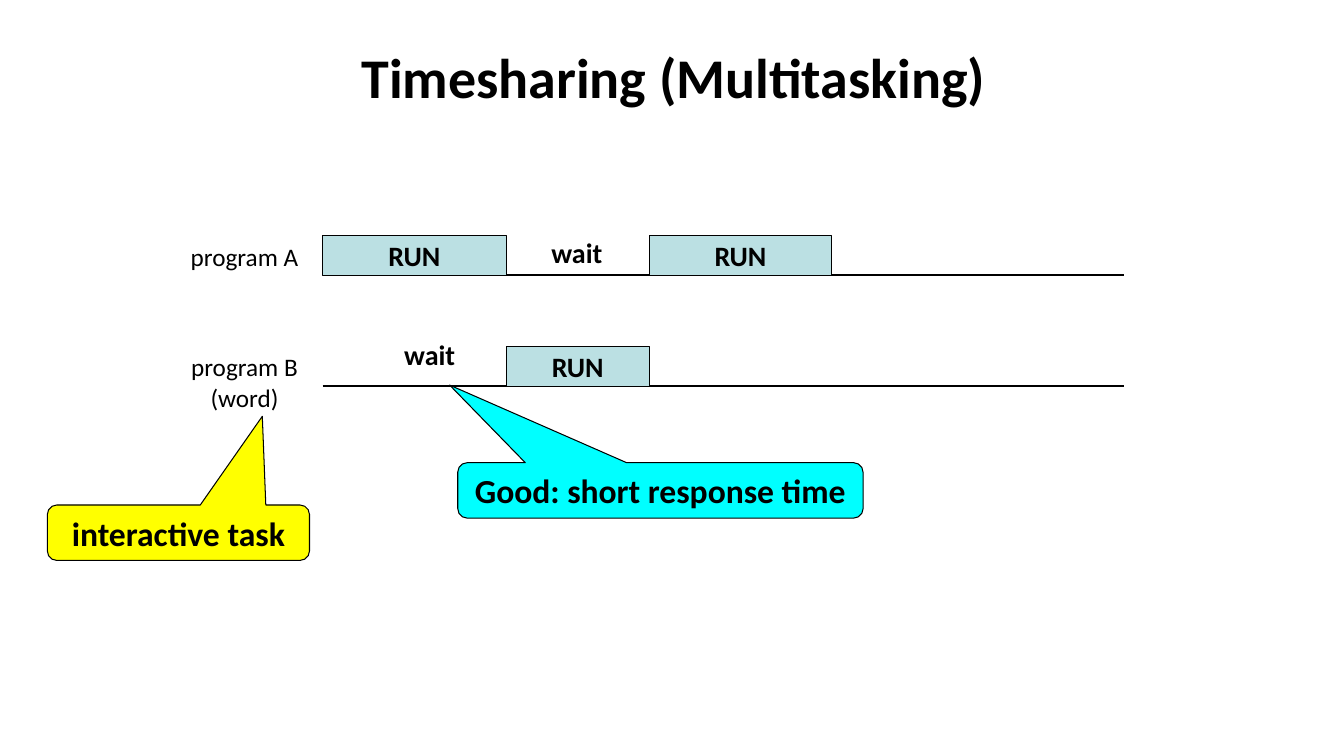
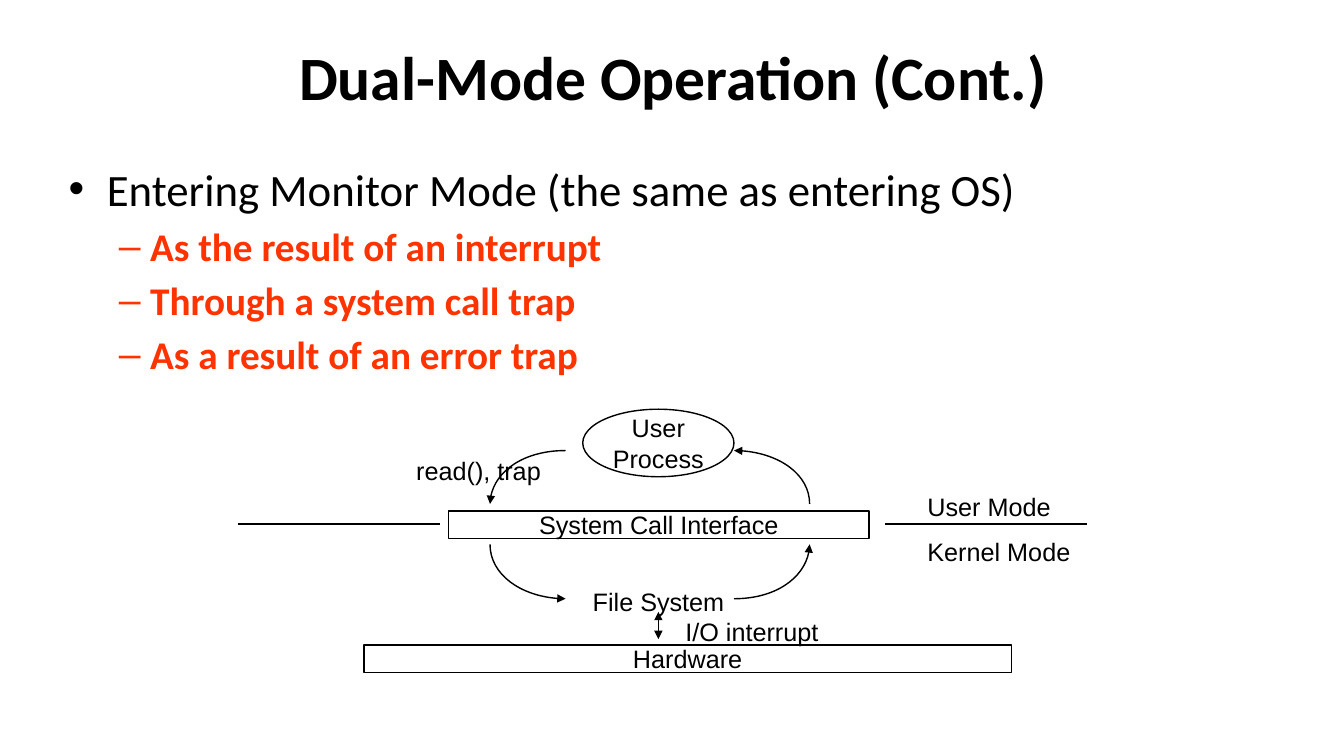
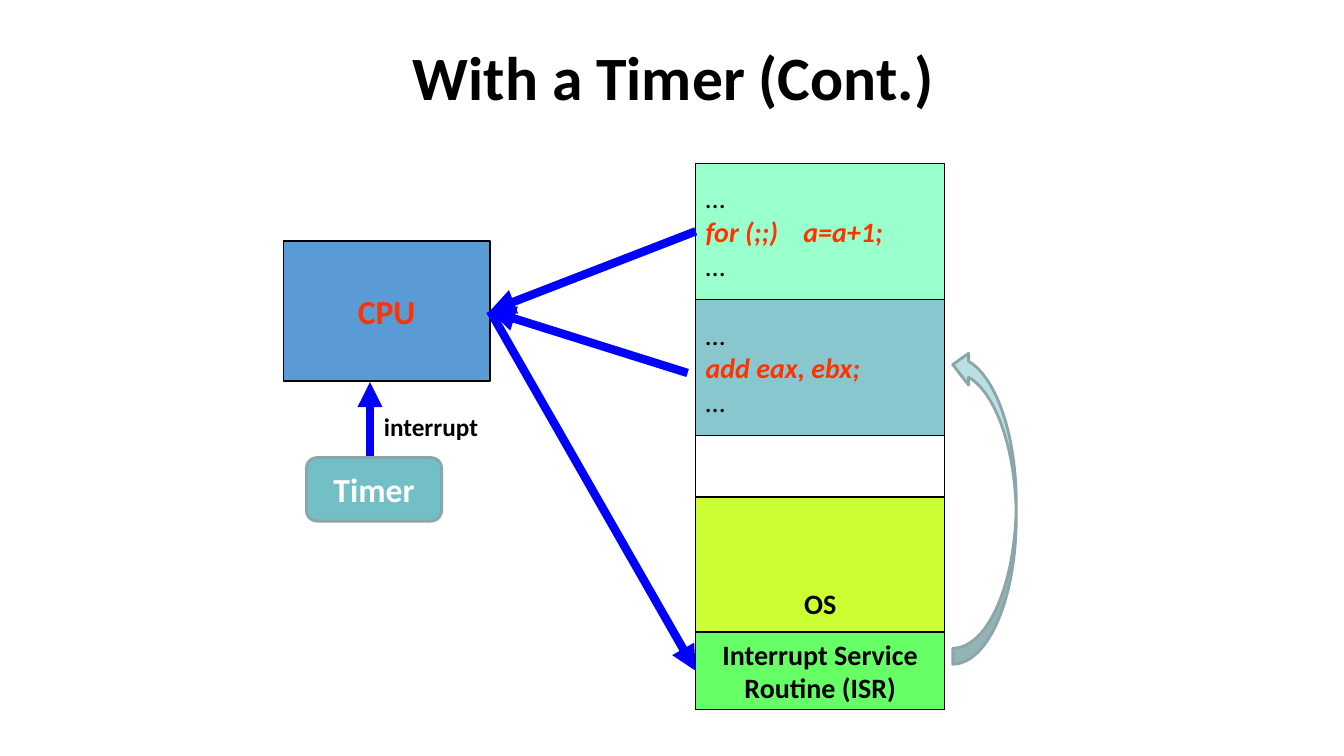
import lxml.etree
import pptx
import pptx.dml.color
import pptx.enum.shapes
import pptx.enum.text
import pptx.oxml.ns
import pptx.util

Inches = pptx.util.Inches
Pt = pptx.util.Pt
qn = pptx.oxml.ns.qn
Preset = pptx.enum.shapes.MSO_SHAPE
Align = pptx.enum.text.PP_ALIGN
Anchor = pptx.enum.text.MSO_ANCHOR
AutoSize = pptx.enum.text.MSO_AUTO_SIZE
rgb = pptx.dml.color.RGBColor.from_string


def style(size, color="000000", name="Calibri", bold=False, italic=False):
    return {"size": Pt(size), "color": rgb(color), "name": name,
            "bold": bold, "italic": italic}


class Theme:
    BLACK = "000000"
    RED = "FF3300"
    BLUE = "0000FF"
    YELLOW = "FFFF00"
    CYAN = "00FFFF"
    PALE_TEAL = "BBE0E3"
    TEAL = "72BFC5"
    TEAL_EDGE = "8AA6A8"
    CPU = "5B9BD5"
    FIRST_PROGRAM = "99FFCC"
    SECOND_PROGRAM = "8AC6CD"
    OS = "CCFF33"
    ISR = "66FF66"

    TITLE = style(44, bold=True)
    SMALL_TITLE = style(40, bold=True)
    BULLET = style(32)
    SUB_BULLET = style(28, RED, bold=True)
    CALLOUT = style(24, bold=True)
    CPU_TEXT = style(24, RED, bold=True)
    TIMER_TEXT = style(24, "FFFFFF", bold=True)
    STRONG = style(20, bold=True)
    PLAIN = style(20)
    CODE = style(20, RED, bold=True, italic=True)
    LABEL = style(18)
    STRONG_LABEL = style(18, bold=True)
    DIAGRAM = style(18, name="Arial")


def set_format(font, values):
    for key, value in values.items():
        if key == "color":
            font.color.rgb = value
        else:
            setattr(font, key, value)


def write(frame, lines, align=Align.CENTER, **frame_format):
    """Fill a text frame with (text, style) lines, one paragraph each."""
    for key, value in frame_format.items():
        setattr(frame, key, value)
    for index, (text, values) in enumerate(lines):
        paragraph = frame.paragraphs[0] if index == 0 else frame.add_paragraph()
        paragraph.alignment = align
        run = paragraph.add_run()
        run.text = text
        set_format(run.font, values)


def styled(values, *texts):
    return [(text, values) for text in texts]


def place(part, left, top, width, height):
    for key, value in zip(("left", "top", "width", "height"),
                          (left, top, width, height)):
        setattr(part, key, Inches(value))


def add_slide(deck, title, values=Theme.TITLE, layout=5):
    slide = deck.slides.add_slide(deck.slide_layouts[layout])
    place(slide.shapes.title, 0.68, 0.13, 12, 1.25)
    write(slide.shapes.title.text_frame, styled(values, title),
          vertical_anchor=Anchor.MIDDLE, auto_size=AutoSize.NONE)
    return slide


def add_label(slide, left, top, width, lines, align=Align.LEFT):
    label = slide.shapes.add_textbox(
        Inches(left), Inches(top), Inches(width),
        Inches(0.1 + 0.3 * len(lines)))
    write(label.text_frame, lines, align, word_wrap=False,
          auto_size=AutoSize.SHAPE_TO_FIT_TEXT)


def set_line(part, color, width, head=False, tail=False):
    part.line.color.rgb = rgb(color)
    part.line.width = Pt(width)
    outline = part.element.spPr.find(qn("a:ln"))
    for tag, wanted in (("a:headEnd", head), ("a:tailEnd", tail)):
        if wanted:
            lxml.etree.SubElement(outline, qn(tag), type="triangle")


def add_block(slide, box, fill=None, lines=(), preset=Preset.RECTANGLE,
              align=Align.CENTER, edge=Theme.BLACK, edge_width=1, wrap=True,
              adjust=()):
    block = slide.shapes.add_shape(preset, *map(Inches, box))
    block.shadow.inherit = False
    if fill:
        block.fill.solid()
        block.fill.fore_color.rgb = rgb(fill)
    else:
        block.fill.background()
    set_line(block, edge, edge_width)
    for index, value in enumerate(adjust):
        block.adjustments[index] = value
    write(block.text_frame, lines, align, word_wrap=wrap,
          vertical_anchor=Anchor.MIDDLE)
    return block


def add_line(slide, start, end, color=Theme.BLACK, width=1, **arrowheads):
    line = slide.shapes.add_connector(
        pptx.enum.shapes.MSO_CONNECTOR.STRAIGHT,
        *map(Inches, (*start, *end)))
    set_line(line, color, width, **arrowheads)
    lxml.etree.SubElement(line.element.spPr, qn("a:effectLst"))
    return line


def add_quarter_arc(slide, start, end, **arrowheads):
    """Curve that leaves start horizontally and reaches end vertically."""
    bend = 0.55
    (x0, y0), (x1, y1) = start, end
    points = [(x0 + bend * (x1 - x0), y0), (x1, y1 - bend * (y1 - y0)), end]
    builder = slide.shapes.build_freeform(Inches(x0), Inches(y0))
    builder.add_line_segments([tuple(map(Inches, point)) for point in points],
                              close=False)
    arc = builder.convert_to_shape()
    arc.shadow.inherit = False
    arc.fill.background()
    set_line(arc, Theme.BLACK, 1, **arrowheads)
    outline = next(arc.element.iter(qn("a:path")))
    curve = lxml.etree.SubElement(outline, qn("a:cubicBezTo"))
    for segment in outline.findall(qn("a:lnTo")):
        curve.append(segment[0])
        outline.remove(segment)


def add_bullets(body, items):
    """Write (text, style, level) items; each level has its own mark."""
    levels = (("•", 0.38, -0.38), ("–", 0.81, -0.31))
    write(body.text_frame, [item[:2] for item in items], Align.LEFT,
          auto_size=AutoSize.NONE)
    for index, (paragraph, item) in enumerate(
            zip(body.text_frame.paragraphs, items)):
        paragraph.level = item[2]
        mark, margin, indent = levels[item[2]]
        properties = paragraph._p.get_or_add_pPr()
        properties.set("marL", str(Inches(margin)))
        properties.set("indent", str(Inches(indent)))
        lxml.etree.SubElement(properties, qn("a:buFont"), typeface="Arial")
        lxml.etree.SubElement(properties, qn("a:buChar"), char=mark)
        paragraph.space_before = Pt(5 if index else 0)


def build_timesharing(deck):
    slide = add_slide(deck, "Timesharing (Multitasking)", Theme.SMALL_TITLE)
    start, first_switch, second_switch, finish = 3.2, 5.02, 6.44, 8.25
    run_height = 0.39
    timelines = (
        (2.73, ("program A",), (5.37, 2.29),
         ((start, first_switch), (second_switch, finish))),
        (3.83, ("program B", "(word)"), (3.91, 3.3),
         ((first_switch, second_switch),)),
    )
    for baseline, names, wait_at, runs in timelines:
        top = baseline - run_height
        add_line(slide, (start, baseline), (11.15, baseline))
        add_label(slide, 1.78, top, 1.29, styled(Theme.LABEL, *names),
                  Align.CENTER)
        add_label(slide, *wait_at, 0.71, styled(Theme.STRONG, "wait"))
        for begin, end in runs:
            add_block(slide, (begin, top, end - begin, run_height),
                      Theme.PALE_TEAL, styled(Theme.STRONG, "RUN"),
                      edge_width=0.75)

    callouts = (
        ((0.47, 5.01, 2.6, 0.55), Theme.YELLOW, "interactive task",
         (0.32, -2.1, 0.17)),
        ((4.54, 4.59, 4.02, 0.55), Theme.CYAN, "Good: short response time",
         (-0.52, -1.9, 0.17)),
    )
    for box, fill, text, adjust in callouts:
        add_block(slide, box, fill, styled(Theme.CALLOUT, text),
                  Preset.ROUNDED_RECTANGULAR_CALLOUT, edge_width=0.75,
                  adjust=adjust)


def build_dual_mode(deck):
    slide = add_slide(deck, "Dual-Mode Operation (Cont.)", layout=1)
    body = slide.placeholders[1]
    place(body, 0.58, 1.55, 12, 5.2)
    add_bullets(body, [
        ("Entering Monitor Mode (the same as entering OS)", Theme.BULLET, 0),
        ("As the result of an interrupt", Theme.SUB_BULLET, 1),
        ("Through a system call trap", Theme.SUB_BULLET, 1),
        ("As a result of an error trap", Theme.SUB_BULLET, 1),
    ])

    stages = (
        ((5.78, 4.06, 1.5, 0.67), Preset.OVAL, ("User", "Process")),
        ((4.45, 5.07, 4.17, 0.27), Preset.RECTANGLE,
         ("System Call Interface",)),
        ((3.61, 6.4, 6.42, 0.27), Preset.RECTANGLE, ("Hardware",)),
    )
    for box, preset, texts in stages:
        add_block(slide, box, None, styled(Theme.DIAGRAM, *texts), preset,
                  wrap=False)

    left_outer, left_inner, right_inner, right_outer = 4.86, 5.61, 7.28, 8.03
    process_y, call_y, return_y, file_y = 4.47, 5, 5.4, 5.94
    add_quarter_arc(slide, (right_inner, process_y), (right_outer, call_y),
                    head=True)
    add_quarter_arc(slide, (left_inner, process_y), (left_outer, call_y),
                    tail=True)
    add_quarter_arc(slide, (right_inner, file_y), (right_outer, return_y),
                    tail=True)
    add_quarter_arc(slide, (left_inner, file_y), (left_outer, return_y),
                    head=True)
    add_line(slide, (6.53, 6.07), (6.53, 6.34), head=True, tail=True)
    for mode_line_left in (2.36, 8.78):
        add_line(slide, (mode_line_left, 5.2), (mode_line_left + 2, 5.2))

    for left, top, width, text in (
            (4.03, 4.47, 1.44, "read(), trap"),
            (6.7, 6.07, 1.53, "I/O interrupt"),
            (5.78, 5.77, 1.51, "File System"),
            (9.1, 4.83, 1.42, "User Mode"),
            (9.1, 5.27, 1.62, "Kernel Mode")):
        add_label(slide, left, top, width, styled(Theme.DIAGRAM, text))


def code_lines(statement):
    return [("…", Theme.PLAIN), (statement, Theme.CODE), ("…", Theme.PLAIN)]


def build_timer(deck):
    slide = add_slide(deck, "With a Timer (Cont.)")
    memory_left, memory_width, top = 6.9, 2.47, 1.62
    memory = []
    for height, fill, lines, align in (
            (1.35, Theme.FIRST_PROGRAM, code_lines("for (;;)    a=a+1;"),
             Align.LEFT),
            (1.35, Theme.SECOND_PROGRAM, code_lines("add eax, ebx;"),
             Align.LEFT),
            (0.61, None, (), Align.LEFT),
            (2.11, Theme.OS, styled(Theme.STRONG, "OS"), Align.CENTER)):
        memory.append(add_block(
            slide, (memory_left, top, memory_width, height), fill, lines,
            align=align))
        top += height
    isr_height = 0.77
    isr = add_block(
        slide, (memory_left, top - isr_height, memory_width, isr_height),
        Theme.ISR,
        styled(Theme.STRONG, "Interrupt Service", "Routine (ISR)"))

    cpu = add_block(slide, (2.81, 2.39, 2.05, 1.39), Theme.CPU,
                    styled(Theme.CPU_TEXT, "CPU"))
    cpu_port = (4.86, 3.09)
    arrow = {"color": Theme.BLUE, "width": 6, "tail": True}
    first_fetch = add_line(slide, (memory_left, 2.3), cpu_port, **arrow)
    first_fetch.begin_connect(memory[0], 1)
    first_fetch.end_connect(cpu, 3)
    isr_jump = add_line(slide, cpu_port, (memory_left, 6.66), **arrow)
    isr_jump.begin_connect(cpu, 3)
    isr_jump.end_connect(isr, 1)
    second_fetch = add_line(slide, (6.82, 3.7), cpu_port, **arrow)
    second_fetch.end_connect(cpu, 3)

    add_line(slide, (3.67, 4.54), (3.67, 3.79), **arrow)
    add_label(slide, 3.71, 4.03, 1.14,
              styled(Theme.STRONG_LABEL, "interrupt"))
    add_block(slide, (3.04, 4.54, 1.34, 0.63), Theme.TEAL,
              styled(Theme.TIMER_TEXT, "Timer"), Preset.ROUNDED_RECTANGLE,
              edge=Theme.TEAL_EDGE, edge_width=2)
    return_arrow = add_block(
        slide, (9.45, 3.46, 0.63, 3.13), Theme.PALE_TEAL,
        preset=Preset.CURVED_RIGHT_ARROW, edge=Theme.TEAL_EDGE, edge_width=2)
    for flip in ("flipH", "flipV"):
        return_arrow.element.spPr.find(qn("a:xfrm")).set(flip, "1")


def main():
    deck = pptx.Presentation()
    deck.slide_width = Inches(13.33)
    deck.slide_height = Inches(7.5)
    build_timesharing(deck)
    build_dual_mode(deck)
    build_timer(deck)
    deck.save("out.pptx")


if __name__ == "__main__":
    main()
